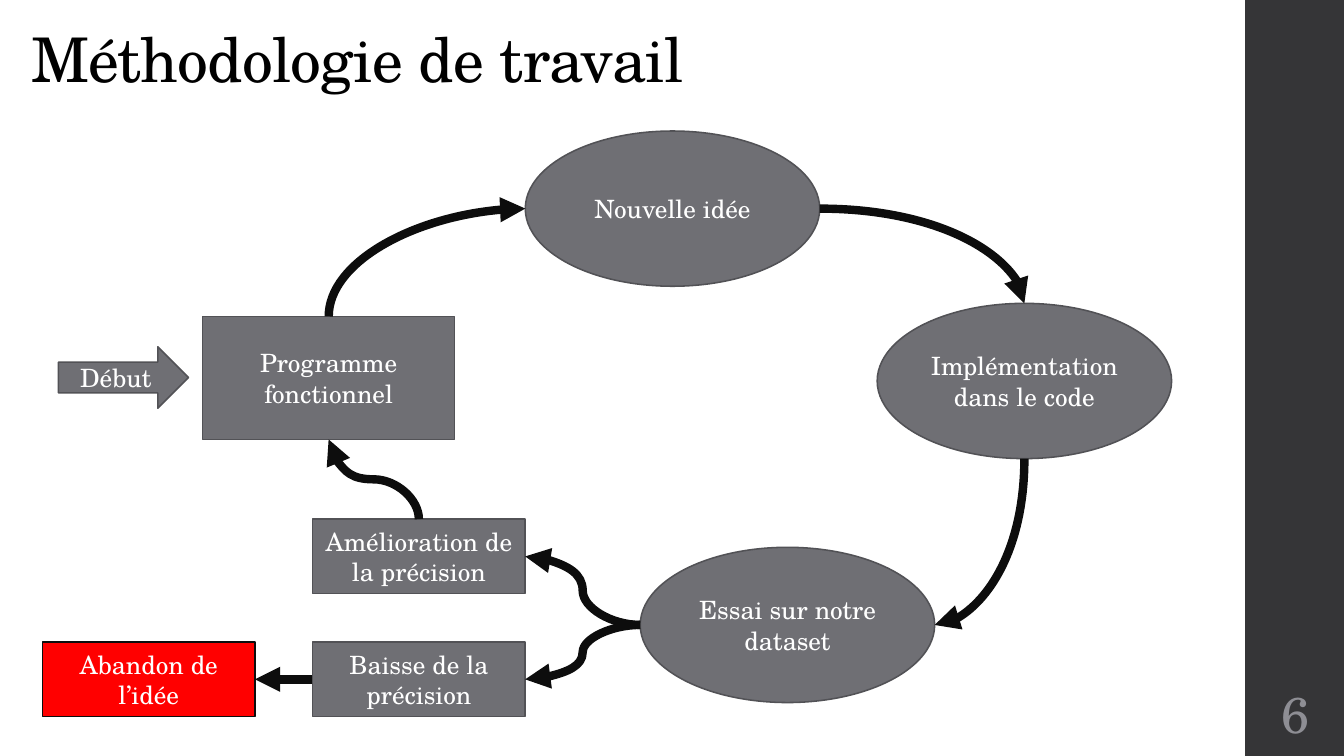
from lxml.etree import SubElement
from pptx import Presentation
from pptx.dml.color import RGBColor
from pptx.enum.shapes import MSO_CONNECTOR as Link, MSO_SHAPE as Form
from pptx.enum.text import MSO_ANCHOR as Anchor, PP_ALIGN as Align
from pptx.oxml.ns import qn
from pptx.util import Pt

PX = 9144  # 100 px to the inch
FONT = "TeX Gyre Schola"
COLORS = {
    "sidebar": "353537",
    "title": "000000",
    "step": "6F6F74",
    "edge": "525256",
    "stop": "FF0000",
    "arrow": "0D0D0D",
    "label": "FFFFFF",
    "number": "8E8E94",
}
SIDES = ["top", "left", "bottom", "right"]
ELLIPSE_SIZE = (292, 154)
OUTCOME_SIZE = (211, 74)


def px(*lengths):
    return [length * PX for length in lengths]


def color(name):
    return RGBColor.from_string(COLORS[name])


def write(shape, text, size=18, ink="label", align=Align.CENTER,
          anchor=Anchor.MIDDLE, spacing=None, tracking=None, inset=None):
    frame = shape.text_frame
    frame.word_wrap = True
    frame.vertical_anchor = anchor
    if inset is not None:
        frame.margin_left = frame.margin_right = inset * PX
        frame.margin_top = frame.margin_bottom = inset * PX
    para = frame.paragraphs[0]
    para.alignment = align
    para.line_spacing = spacing
    span = para.add_run()
    span.text = text
    span.font.name = FONT
    span.font.size = Pt(size)
    span.font.color.rgb = color(ink)
    if tracking is not None:
        span.font._element.set("spc", str(tracking))


def add_form(page, form, box, fill, edge=None):
    shape = page.shapes.add_shape(form, *px(*box))
    shape.shadow.inherit = False
    shape.fill.solid()
    shape.fill.fore_color.rgb = color(fill)
    if edge:
        shape.line.color.rgb = color(edge)
        shape.line.width = Pt(1.1)
    else:
        shape.line.fill.background()
    return shape


def add_step(page, form, box, text, fill="step", edge="edge"):
    shape = add_form(page, form, box, fill, edge)
    write(shape, text)
    return shape


def side_point(shape, side):
    shift_x, shift_y = {"top": (1, 0), "left": (0, 1),
                        "bottom": (1, 2), "right": (2, 1)}[side]
    return (shape.left + shape.width * shift_x // 2,
            shape.top + shape.height * shift_y // 2)


def add_curve(page, start, start_side, end, end_side):
    """Join two steps; a curve that leaves vertically is a quarter-turned one."""
    (x1, y1), (x2, y2) = side_point(start, start_side), side_point(end, end_side)
    upright = start_side in ("top", "bottom")
    run, rise = (y2 - y1, x1 - x2) if upright else (x2 - x1, y2 - y1)
    left, top = (x1 + x2 - run) // 2, (y1 + y2 - rise) // 2
    curve = page.shapes.add_connector(Link.CURVE, left, top, left + run, top + rise)
    curve.line.color.rgb = color("arrow")
    curve.line.width = Pt(6)
    SubElement(curve.line._get_or_add_ln(), qn("a:tailEnd"), type="triangle")

    properties = curve.element.spPr
    SubElement(properties, qn("a:effectLst"))
    if upright:
        properties.find(qn("a:xfrm")).set("rot", "5400000")
    if upright != (end_side in ("top", "bottom")):
        properties.find(qn("a:prstGeom")).set("prst", "curvedConnector2")

    joints = curve.element.find(".//" + qn("p:cNvCxnSpPr"))
    for tag, shape, side in (("a:stCxn", start, start_side),
                             ("a:endCxn", end, end_side)):
        # an ellipse has eight connection sites, a rectangle four
        step = 2 if shape.auto_shape_type == Form.OVAL else 1
        SubElement(joints, qn(tag), id=str(shape.shape_id),
                   idx=str(SIDES.index(side) * step))


def add_title(page, box, text):
    title = page.shapes.add_textbox(*px(*box))
    write(title, text, size=44, ink="title", align=Align.LEFT,
          anchor=Anchor.BOTTOM, spacing=0.9, tracking=-50)


def add_sidebar(page, box, number):
    left, top, width, height = box
    add_form(page, Form.RECTANGLE, box, "sidebar")
    label = page.shapes.add_textbox(*px(left, top + height - 75, width, 65))
    write(label, number, size=36, ink="number", inset=5)


def add_cycle(page, box):
    left, top = box[:2]

    def place(form, x, y, size, text, **style):
        return add_step(page, form, (left + x, top + y, *size), text, **style)

    program = place(Form.RECTANGLE, 159, 184, (250, 122), "Programme fonctionnel")
    place(Form.RIGHT_ARROW, 16, 214, (129, 61), "Début")
    code = place(Form.OVAL, 828, 171, ELLIPSE_SIZE, "Implémentation dans le code")
    idea = place(Form.OVAL, 479, 0, ELLIPSE_SIZE, "Nouvelle idée")
    trial = place(Form.OVAL, 593, 413, ELLIPSE_SIZE, "Essai sur notre dataset")
    better = place(Form.RECTANGLE, 268, 385, OUTCOME_SIZE,
                   "Amélioration de la précision")
    worse = place(Form.RECTANGLE, 268, 507, OUTCOME_SIZE, "Baisse de la précision")
    dropped = place(Form.RECTANGLE, 0, 507, OUTCOME_SIZE, "Abandon de l’idée",
                    fill="stop", edge="arrow")

    for ends in (
        (program, "top", idea, "left"),
        (idea, "right", code, "top"),
        (code, "bottom", trial, "right"),
        (trial, "left", better, "right"),
        (trial, "left", worse, "right"),
        (better, "top", program, "bottom"),
        (worse, "left", dropped, "right"),
    ):
        add_curve(page, *ends)


def main():
    deck = Presentation()
    deck.slide_width, deck.slide_height = px(1333, 750)
    page = deck.slides.add_slide(deck.slide_layouts[6])
    add_sidebar(page, (1235, 0, 100, 750), "6")
    add_title(page, (21, 19, 1167, 81), "Méthodologie de travail")
    add_cycle(page, (42, 130, 1120, 581))
    deck.save("out.pptx")


if __name__ == "__main__":
    main()
